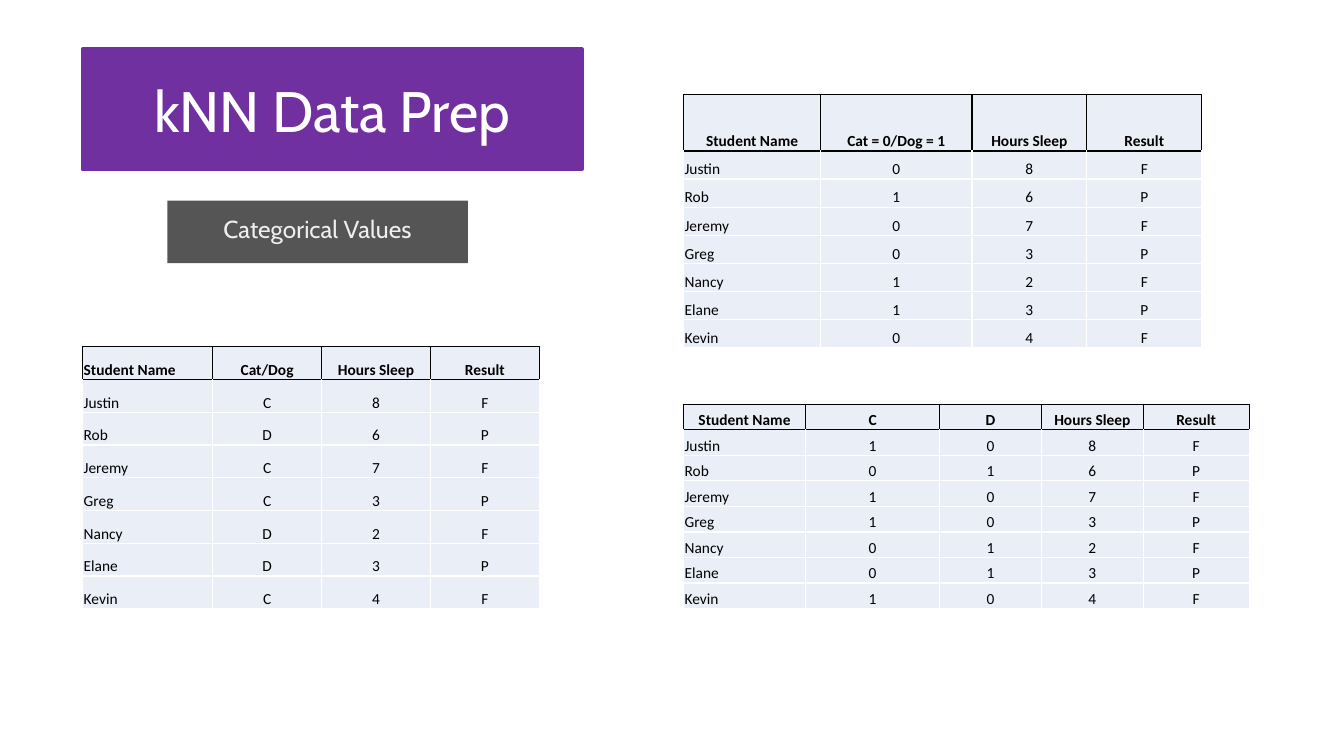
from dataclasses import dataclass

from lxml import etree
from pptx import Presentation
from pptx import util as u
from pptx.dml.color import RGBColor
from pptx.enum import shapes, text
from pptx.oxml.ns import qn

BLACK, WHITE, PALE_BLUE = "000000", "FFFFFF", "EAEFF7"
PURPLE, GREY, OFF_WHITE = "7030A0", "555555", "EEEEEE"

STUDENTS = [
    ("Justin", "C", 8, "F"),
    ("Rob", "D", 6, "P"),
    ("Jeremy", "C", 7, "F"),
    ("Greg", "C", 3, "P"),
    ("Nancy", "D", 2, "F"),
    ("Elane", "D", 3, "P"),
    ("Kevin", "C", 4, "F"),
]
ENCODINGS = {
    "letter": {"C": ["C"], "D": ["D"]},
    "binary": {"C": [0], "D": [1]},
    "one-hot": {"C": [1, 0], "D": [0, 1]},
}


@dataclass
class Banner:
    """A filled heading box; lengths in inches, size in points."""
    words: str
    left: float
    top: float
    width: float
    height: float
    fill: str
    color: str
    size: float
    line_width: float = 0
    line_spacing: float = 1


@dataclass
class StudentTable:
    """One way to encode the pet column; lengths in inches."""
    left: float
    top: float
    height: float
    widths: list[float]
    pet_headings: list[str]
    encoding: str
    header_units: int = 1
    center_names_heading: bool = True


def rgb(color: str) -> RGBColor:
    """Turn a hex string into a colour."""
    return RGBColor.from_string(color)


def add_words(paragraph, words: str, font: str, size: float, color: str,
              bold: bool = False) -> None:
    """Add one formatted run to a paragraph."""
    run = paragraph.add_run()
    run.text = words
    run.font.name = font
    run.font.size = u.Pt(size)
    run.font.bold = bold
    run.font.color.rgb = rgb(color)


def add_banner(slide, banner: Banner) -> None:
    """Draw a heading box with centred text."""
    box = slide.shapes.add_shape(
        shapes.MSO_SHAPE.RECTANGLE, u.Inches(banner.left), u.Inches(banner.top),
        u.Inches(banner.width), u.Inches(banner.height))
    box.shadow.inherit = False
    box.fill.solid()
    box.fill.fore_color.rgb = rgb(banner.fill)
    if banner.line_width:
        box.line.color.rgb = rgb(banner.fill)
        box.line.width = u.Pt(banner.line_width)
    else:
        box.line.fill.background()
    box.text_frame.word_wrap = True
    box.text_frame.vertical_anchor = text.MSO_ANCHOR.MIDDLE
    paragraph = box.text_frame.paragraphs[0]
    paragraph.alignment = text.PP_ALIGN.CENTER
    paragraph.line_spacing = banner.line_spacing
    add_words(paragraph, banner.words, "Cabin", banner.size, banner.color)


def set_borders(cell, color: str, top_color: str) -> None:
    """Give a cell one-point borders, with its own colour on top."""
    properties = cell._tc.get_or_add_tcPr()
    for side in "LRTB":
        border = etree.SubElement(properties, qn(f"a:ln{side}"), w=str(u.Pt(1)))
        fill = etree.SubElement(border, qn("a:solidFill"))
        etree.SubElement(fill, qn("a:srgbClr"),
                         val=top_color if side == "T" else color)


def fill_cell(cell, words: str, row: int, centered: bool) -> None:
    """Format a cell by its row and write its words."""
    header = row == 0
    set_borders(cell, BLACK if header else WHITE, BLACK if row < 2 else WHITE)
    cell.fill.solid()
    cell.fill.fore_color.rgb = rgb(PALE_BLUE)
    cell.margin_left = cell.margin_right = cell.margin_top = u.Inches(0.01)
    cell.margin_bottom = 0
    cell.vertical_anchor = text.MSO_ANCHOR.BOTTOM
    paragraph = cell.text_frame.paragraphs[0]
    paragraph.alignment = text.PP_ALIGN.CENTER if centered else text.PP_ALIGN.LEFT
    add_words(paragraph, words, "Calibri", 11, BLACK, bold=header)


def add_student_table(slide, spec: StudentTable) -> None:
    """Draw the students with their pets in the given encoding."""
    pets = ENCODINGS[spec.encoding]
    rows = [["Student Name", *spec.pet_headings, "Hours Sleep", "Result"]]
    rows += [[name, *pets[pet], hours, result]
             for name, pet, hours, result in STUDENTS]
    table = slide.shapes.add_table(
        len(rows), len(spec.widths), u.Inches(spec.left), u.Inches(spec.top),
        u.Inches(sum(spec.widths)), u.Inches(spec.height)).table
    table.first_row = table.horz_banding = False
    for column, width in zip(table.columns, spec.widths):
        column.width = u.Inches(width)
    unit = spec.height / (len(STUDENTS) + spec.header_units)
    for r, values in enumerate(rows):
        table.rows[r].height = u.Inches(unit * (1 if r else spec.header_units))
        for c, value in enumerate(values):
            centered = c > 0 or (r == 0 and spec.center_names_heading)
            fill_cell(table.cell(r, c), str(value), r, centered)


BANNERS = [
    Banner("kNN Data Prep", 0.82, 0.49, 4.95, 1.19, PURPLE, WHITE, 40.7,
           line_width=2.75),
    Banner("Categorical Values", 1.66, 1.99, 2.98, 0.62, GREY, OFF_WHITE, 17.5,
           line_spacing=0.8),
]
TABLES = [
    StudentTable(0.82, 3.44, 2.6, [1.29, 1.08, 1.08, 1.08], ["Cat/Dog"],
                 "letter", center_names_heading=False),
    StudentTable(6.78, 0.94, 2.51, [1.36, 1.5, 1.14, 1.14],
                 ["Cat = 0/Dog = 1"], "binary", header_units=2),
    StudentTable(6.78, 4.01, 2.03, [1.21, 1.33, 1.01, 1.01, 1.05],
                 ["C", "D"], "one-hot"),
]


def main() -> None:
    """Build the slide and save it."""
    deck = Presentation()
    deck.slide_width, deck.slide_height = u.Inches(13.33), u.Inches(7.5)
    slide = deck.slides.add_slide(deck.slide_layouts[6])
    for banner in BANNERS:
        add_banner(slide, banner)
    for spec in TABLES:
        add_student_table(slide, spec)
    deck.save("out.pptx")


main()
